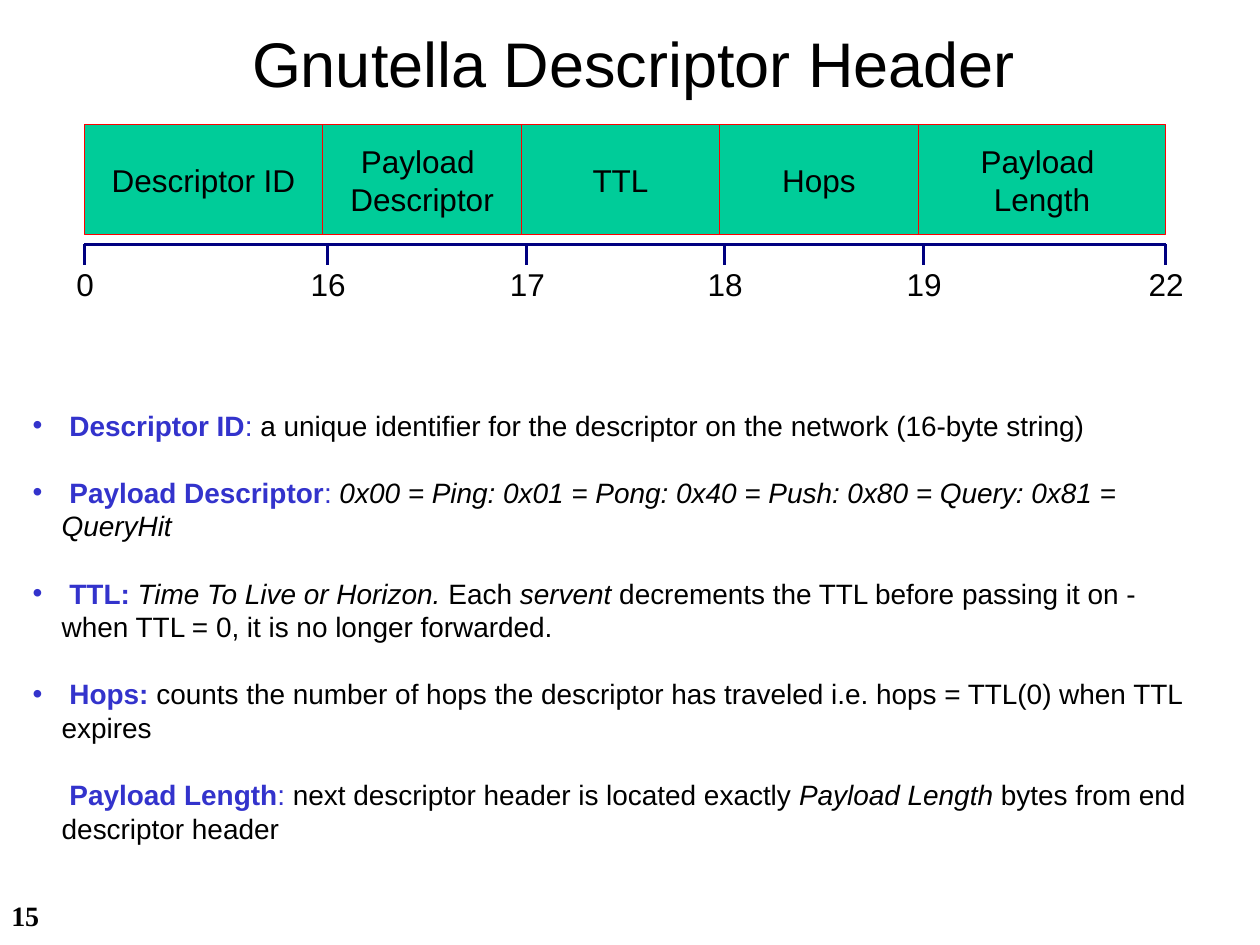
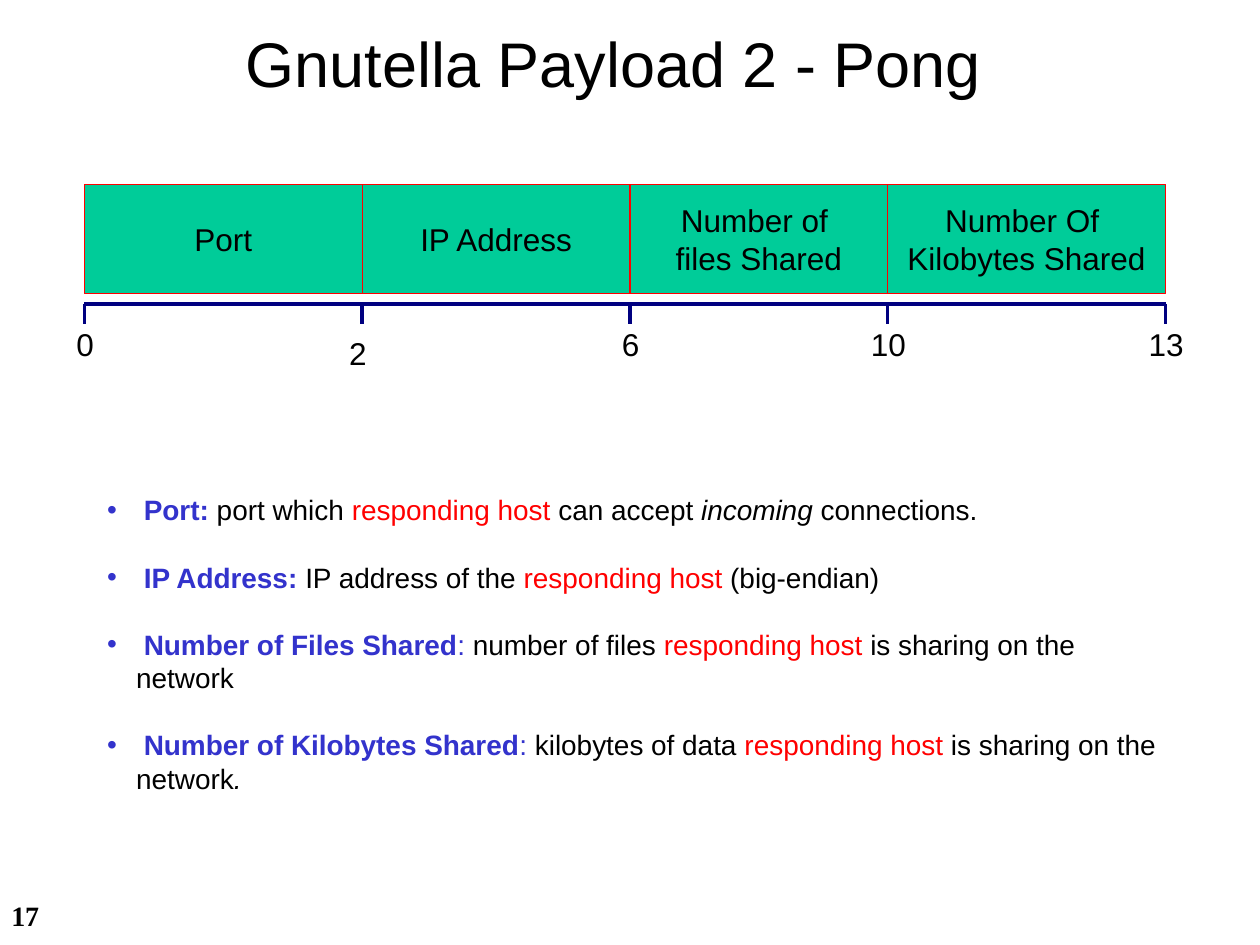
from lxml import etree
from pptx import Presentation
from pptx.dml.color import RGBColor
from pptx.enum.shapes import MSO_CONNECTOR, MSO_SHAPE
from pptx.enum.text import MSO_ANCHOR, MSO_AUTO_SIZE, PP_ALIGN
from pptx.oxml.ns import qn
from pptx.util import Inches, Pt

RECT = MSO_SHAPE.RECTANGLE
LINE = MSO_CONNECTOR.STRAIGHT
TOP, MID = MSO_ANCHOR.TOP, MSO_ANCHOR.MIDDLE
LEFT, CENTER, RIGHT = PP_ALIGN.LEFT, PP_ALIGN.CENTER, PP_ALIGN.RIGHT
FIXED = MSO_AUTO_SIZE.NONE

BLACK = RGBColor(0x00, 0x00, 0x00)
BLUE = RGBColor(0x33, 0x33, 0xCC)
RED = RGBColor(0xFF, 0x00, 0x00)
GREEN = RGBColor(0x00, 0xCC, 0x99)
NAVY = RGBColor(0x00, 0x00, 0x80)

# Run styles
TEXT = {"color": BLACK}
TERM = {"color": BLUE, "bold": True}
SIGN = {"color": BLUE}
ITAL = {"color": BLACK, "italic": True}
HOST = {"color": RED}

# The slide is a grid of 100 columns and 100 rows
WIDE, HIGH = Inches(10), Inches(7.5)
COL, ROW = WIDE / 100, HIGH / 100
HEAD = 70         # width of a title, in columns
BAR = 11.6        # height of a field, in rows
AXIS = 12.65      # from the top of the bar to the axis
TICK = 14.8       # from the top of the bar to the end of a tick
MARK = 14.2       # from the top of the bar to the offsets
HANG = Inches(0.23)

# Ticks are column, offset text, and the text's shift in columns and rows
SLIDES = [
    {
        "page": "15",
        "title": "Gnutella Descriptor Header",
        "left": 19,
        "top": 13.2,
        "edges": [6.7, 25.6, 41.4, 57.1, 72.9, 92.5],
        "fields": ["Descriptor ID", "Payload \nDescriptor", "TTL", "Hops",
                   "Payload \nLength"],
        "ticks": [(6.7, "0", 0, 0), (26, "16", 0, 0), (41.8, "17", 0, 0),
                  (57.5, "18", 0, 0), (73.3, "19", 0, 0), (92.5, "22", 0, 0)],
        "body": (1.6, 42.5, 94.9, 47.6),
        "plain": "Payload Length",
        "list": [
            [(" Descriptor ID", TERM), (": ", SIGN),
             ("a unique identifier for the descriptor on the network "
              "(16-byte string)", TEXT)],
            [(" Payload Descriptor", TERM), (":", SIGN),
             (" 0x00 = Ping: 0x01 = Pong: 0x40 = Push: 0x80 = Query: "
              "0x81 = QueryHit", ITAL)],
            [(" TTL: ", TERM), ("Time To Live or Horizon. ", ITAL),
             ("Each ", TEXT), ("servent ", ITAL),
             ("decrements the TTL before passing it on - when TTL = 0, "
              "it is no longer forwarded.", TEXT)],
            [(" Hops: ", TERM),
             ("counts the number of hops the descriptor has traveled "
              "i.e. hops = TTL(0) when TTL expires", TEXT)],
            [(" Payload Length", TERM), (": ", SIGN),
             ("next descriptor header is located exactly ", TEXT),
             ("Payload Length ", ITAL),
             ("bytes from end descriptor header", TEXT)],
        ],
    },
    {
        "page": "17",
        "title": "Gnutella Payload 2 - Pong",
        "left": 18.5,
        "top": 19.5,
        "edges": [6.7, 28.75, 50, 70.45, 92.5],
        "fields": ["Port", "IP Address", "Number of \nfiles Shared",
                   "Number Of \nKilobytes Shared"],
        "ticks": [(6.7, "0", 0, 0), (28.75, "2", -0.4, 1), (50, "6", 0, 0),
                  (70.45, "10", 0, 0), (92.5, "13", 0, 0)],
        "body": (7.5, 53.2, 85.8, 29.9),
        "plain": None,
        "list": [
            [(" Port: ", TERM), ("port which ", TEXT),
             ("responding host ", HOST), ("can accept ", TEXT),
             ("incoming ", ITAL), ("connections.", TEXT)],
            [(" IP Address: ", TERM), ("IP address of the ", TEXT),
             ("responding host", HOST), (" (big-endian)", TEXT)],
            [(" Number of Files Shared", TERM), (": ", SIGN),
             ("number of files ", TEXT), ("responding host", HOST),
             (" is sharing on the network", TEXT)],
            [(" Number of Kilobytes Shared", TERM), (": ", SIGN),
             ("kilobytes of data ", TEXT), ("responding host", HOST),
             (" is sharing on the network", TEXT), (".", ITAL)],
        ],
    },
]


def write(shape, paras, size, align=LEFT, anchor=TOP, wrap=False,
          face="Arial", gap=0):
    """Fill a shape with paragraphs made of (text, style) runs."""
    frame = shape.text_frame
    form = {"word_wrap": wrap, "auto_size": FIXED, "vertical_anchor": anchor}
    for name, value in form.items():
        setattr(frame, name, value)
    for i, runs in enumerate(paras):
        para = frame.paragraphs[0] if i == 0 else frame.add_paragraph()
        form = {"alignment": align, "line_spacing": 1.0,
                "space_before": Pt(gap if i else 0)}
        for name, value in form.items():
            setattr(para, name, value)
        for text, style in runs:
            run = para.add_run()
            run.text = text
            form = {"name": face, "size": Pt(size),
                    "bold": style.get("bold", False),
                    "italic": style.get("italic", False)}
            for name, value in form.items():
                setattr(run.font, name, value)
            run.font.color.rgb = style["color"]


def rule(slide, x1, y1, x2, y2):
    """Draw a navy line between two grid points."""
    line = slide.shapes.add_connector(
        LINE, round(x1 * COL), round(y1 * ROW), round(x2 * COL), round(y2 * ROW))
    line.line.color.rgb = NAVY
    line.line.width = Pt(2)
    etree.SubElement(line._element.spPr, qn("a:effectLst"))


deck = Presentation()
deck.slide_width, deck.slide_height = WIDE, HIGH

for data in SLIDES:
    slide = deck.slides.add_slide(deck.slide_layouts[1])
    shapes = slide.shapes
    title, body = slide.placeholders
    top, edges = data["top"], data["edges"]

    # Title and list places
    head = (data["left"], 1.9, HEAD, 9.3)
    for shape, place in ((title, head), (body, data["body"])):
        for name, value, unit in zip(("left", "top", "width", "height"),
                                     place, (COL, ROW, COL, ROW)):
            setattr(shape, name, round(value * unit))
    write(title, [[(data["title"], TEXT)]], 36, wrap=True)

    # Page number
    page = shapes.add_textbox(round(-1.7 * COL), round(94.4 * ROW),
                              round(5.8 * COL), round(6.6 * ROW))
    write(page, [[(data["page"], {"color": BLACK, "bold": True})]], 16,
          RIGHT, wrap=True, face="Times New Roman")

    # Header fields
    for start, end, name in zip(edges, edges[1:], data["fields"]):
        field = shapes.add_shape(RECT, round(start * COL), round(top * ROW),
                                 round((end - start) * COL), round(BAR * ROW))
        field.shadow.inherit = False
        field.fill.solid()
        field.fill.fore_color.rgb = GREEN
        field.line.color.rgb = RED
        field.line.width = Pt(0.75)
        write(field, [[(part, TEXT)] for part in name.split("\n")], 18,
              CENTER, MID)

    # Byte axis with ticks and offsets
    rule(slide, edges[0], top + AXIS, edges[-1], top + AXIS)
    for x, text, shift, drop in data["ticks"]:
        rule(slide, x, top + AXIS, x, top + TICK)
        mark = shapes.add_textbox(round((x + shift - 2.35) * COL),
                                  round((top + MARK + drop) * ROW),
                                  round(4.8 * COL), round(5.3 * ROW))
        write(mark, [[(text, TEXT)]], 18, CENTER)

    # Field notes
    write(body, data["list"], 16, anchor=MID, wrap=True, gap=19.2)
    for para, runs in zip(body.text_frame.paragraphs, data["list"]):
        props = para._p.get_or_add_pPr()
        props.set("marL", str(HANG))
        if runs[0][0].strip() == data["plain"]:
            props.set("indent", "0")
            etree.SubElement(props, qn("a:buNone"))
            continue
        props.set("indent", str(-HANG))
        tint = etree.SubElement(props, qn("a:buClr"))
        etree.SubElement(tint, qn("a:srgbClr"), val=str(BLUE))
        etree.SubElement(props, qn("a:buFont"), typeface="Arial")
        etree.SubElement(props, qn("a:buChar"), char="•")

deck.save("out.pptx")
